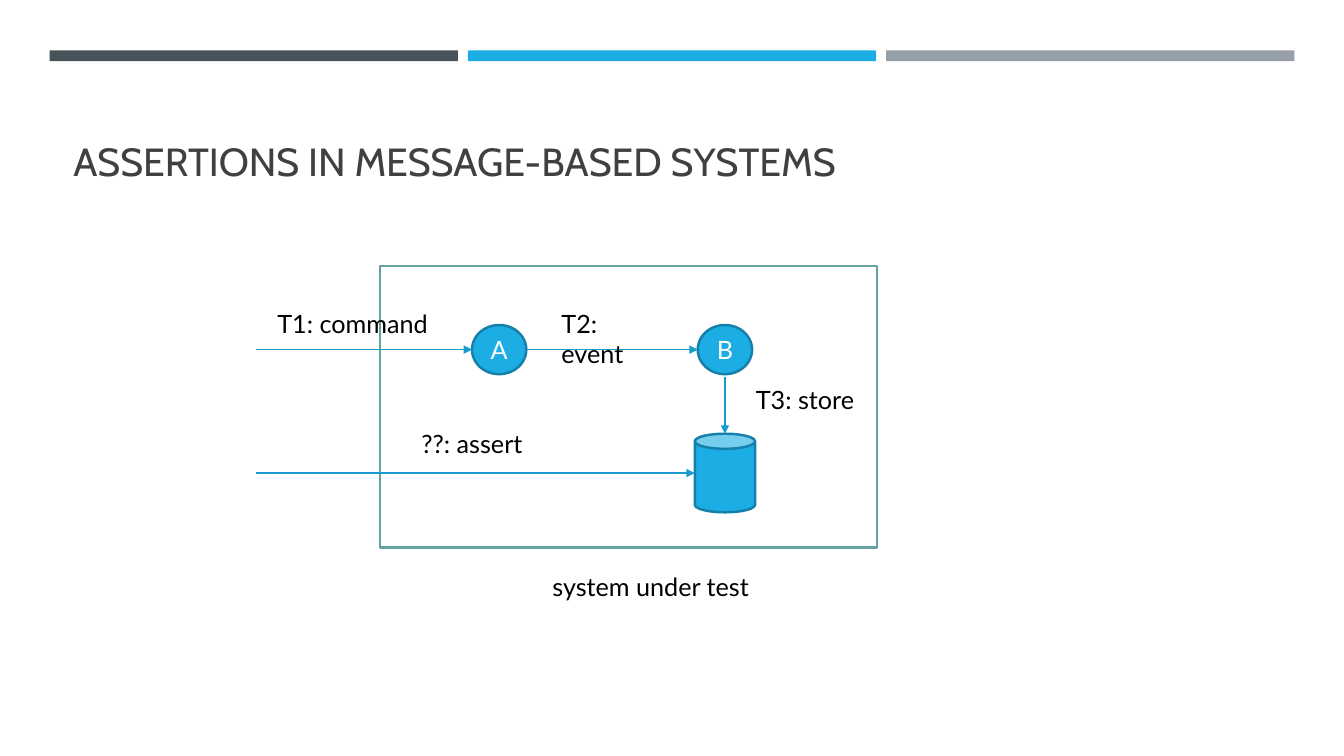
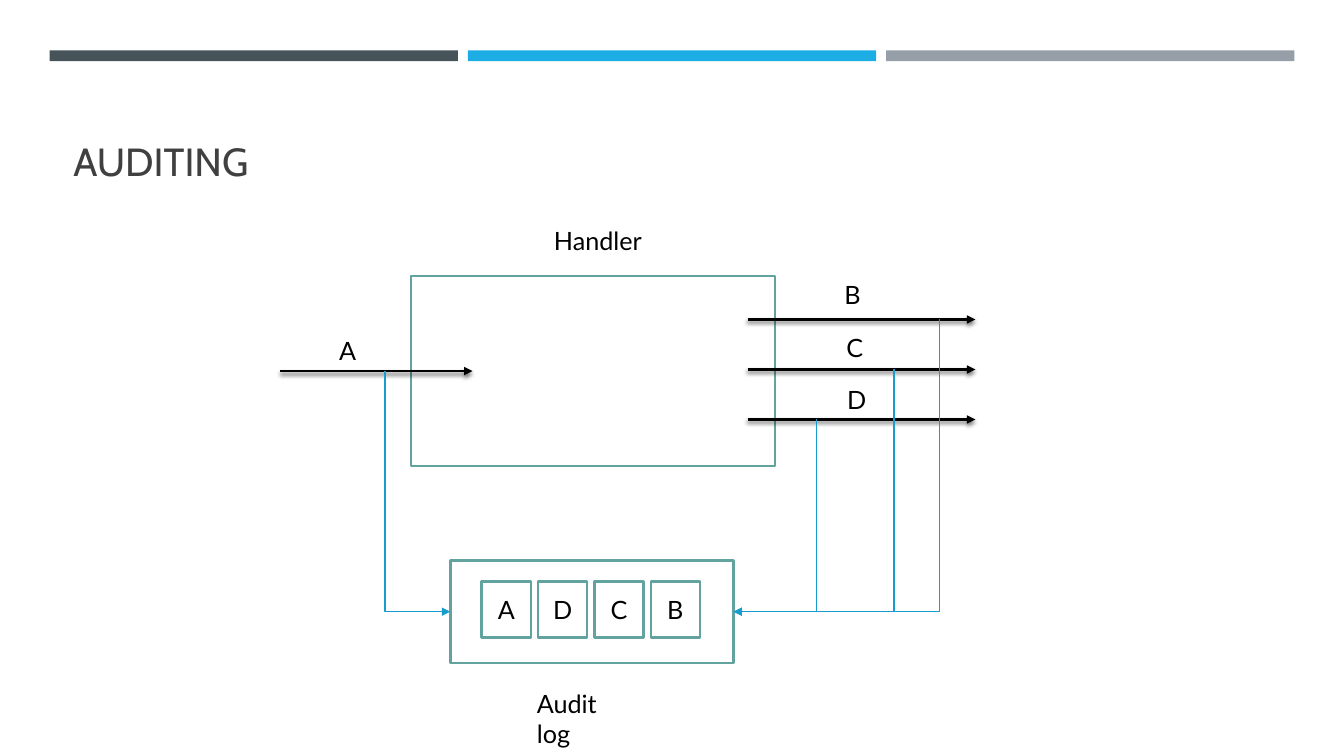
"""Build two slides on testing and auditing message-based systems."""
from dataclasses import dataclass

import lxml.etree
import pptx
import pptx.dml.color
import pptx.enum.shapes
import pptx.enum.text
import pptx.oxml.ns
import pptx.util

Cm = pptx.util.Cm
Pt = pptx.util.Pt
RGBColor = pptx.dml.color.RGBColor
Shape = pptx.enum.shapes.MSO_SHAPE
Anchor = pptx.enum.text.MSO_ANCHOR
qn = pptx.oxml.ns.qn

SLATE = RGBColor(0x46, 0x53, 0x59)
BLUE = RGBColor(0x1C, 0xAD, 0xE4)
GREY = RGBColor(0x96, 0x9F, 0xA7)
DARK_BLUE = RGBColor(0x15, 0x80, 0xA9)
ARROW_BLUE = RGBColor(0x18, 0x9C, 0xCE)
TEAL = RGBColor(0x62, 0xA3, 0x9F)
TITLE_GREY = RGBColor(0x40, 0x40, 0x40)
BLACK = RGBColor(0, 0, 0)
WHITE = RGBColor(0xFF, 0xFF, 0xFF)

TITLE_FONT = "Cabin"
BODY_FONT = "Lato"


@dataclass
class Box:
    """A rectangle in centimetres."""

    left: float
    top: float
    width: float
    height: float

    @property
    def middle(self):
        """Return the vertical centre."""
        return self.top + self.height / 2

    def inner(self, left, top, width, height):
        """Return a box placed relative to this one."""
        return Box(self.left + left, self.top + top, width, height)

    def lengths(self):
        """Return the four lengths for python-pptx."""
        return [Cm(value) for value in (self.left, self.top, self.width, self.height)]


def write(text_frame, text, color=BLACK, size=18, font=BODY_FONT):
    """Write one run into the first paragraph and return the paragraph."""
    paragraph = text_frame.paragraphs[0]
    run = paragraph.add_run()
    run.text = text
    run.font.size = Pt(size)
    run.font.name = font
    run.font.color.rgb = color
    return paragraph


def add_label(slide, box, text, wrap=True):
    """Add a plain text label."""
    text_frame = slide.shapes.add_textbox(*box.lengths()).text_frame
    text_frame.word_wrap = wrap
    write(text_frame, text)


def add_figure(slide, box, kind=Shape.RECTANGLE, fill=WHITE, line=TEAL, text="", color=BLACK):
    """Add a filled shape with an optional outline and centred text."""
    shape = slide.shapes.add_shape(kind, *box.lengths())
    shape.shadow.inherit = False
    shape.fill.solid()
    shape.fill.fore_color.rgb = fill
    if line is None:
        shape.line.fill.background()
    else:
        shape.line.color.rgb = line
        shape.line.width = Pt(1.75)
    if text:
        shape.text_frame.vertical_anchor = Anchor.MIDDLE
        paragraph = write(shape.text_frame, text, color)
        paragraph.alignment = pptx.enum.text.PP_ALIGN.CENTER
    return shape


def add_arrow(slide, start, end, color=ARROW_BLUE, width=1, arrow_end="tailEnd"):
    """Add a straight connector with one arrowhead and no shadow."""
    straight = pptx.enum.shapes.MSO_CONNECTOR.STRAIGHT
    points = [Cm(value) for value in (*start, *end)]
    connector = slide.shapes.add_connector(straight, *points)
    connector.line.color.rgb = color
    connector.line.width = Pt(width)
    properties = connector.element.spPr
    lxml.etree.SubElement(properties.find(qn("a:ln")), qn("a:" + arrow_end), type="triangle")
    lxml.etree.SubElement(properties, qn("a:effectLst"))
    return connector


def add_message_arrow(slide, start, end):
    """Add a thick black arrow with a soft shadow below."""
    connector = add_arrow(slide, start, end, BLACK, 2)
    effects = connector.element.spPr.find(qn("a:effectLst"))
    shadow = lxml.etree.SubElement(
        effects, qn("a:outerShdw"), blurRad=str(Pt(3)), dist=str(Pt(2)),
        dir="5400000", rotWithShape="0")
    color = lxml.etree.SubElement(shadow, qn("a:srgbClr"), val=str(BLACK))
    lxml.etree.SubElement(color, qn("a:alpha"), val="55000")


def add_tap(slide, log_edge, message):
    """Add an elbow from a message to the log, with the arrowhead at the log."""
    connector = add_arrow(slide, log_edge, message, arrow_end="headEnd")
    connector.element.spPr.find(qn("a:prstGeom")).set("prst", "bentConnector2")


def add_titled_slide(presentation, title):
    """Add a blank slide with the three bands and a title."""
    slide = presentation.slides.add_slide(presentation.slide_layouts[6])
    for index, color in enumerate((SLATE, BLUE, GREY)):
        add_figure(slide, Box(1.25 + 10.54 * index, 1.27, 10.29, 0.27), fill=color, line=None)
    text_frame = slide.shapes.add_textbox(*Box(1.6, 2.03, 30.63, 2.74).lengths()).text_frame
    text_frame.word_wrap = True
    text_frame.vertical_anchor = Anchor.BOTTOM
    write(text_frame, title, TITLE_GREY, 28, TITLE_FONT)
    return slide


def draw_system(slide, box):
    """Draw the system under test with its services, store and messages."""
    node_width, node_height = 1.37, 1.24
    a_x, b_x = box.left + 3, box.left + 8.69
    node_y, store_y = box.top + 2.1, box.top + 5.21
    entry_x = box.left - 3.12
    store = Box(b_x - 0.76, store_y - 0.99, 1.52, 1.98)

    add_figure(slide, box)
    for name, x in (("A", a_x), ("B", b_x)):
        node = Box(x - node_width / 2, node_y - node_height / 2, node_width, node_height)
        add_figure(slide, node, Shape.OVAL, BLUE, DARK_BLUE, name, WHITE)
    add_figure(slide, store, Shape.CAN, BLUE, DARK_BLUE)

    for start, end in (
        ((entry_x, node_y), (a_x - node_width / 2, node_y)),
        ((a_x + node_width / 2, node_y), (b_x - node_width / 2, node_y)),
        ((b_x, box.top + 2.79), (b_x, store.top)),
        ((entry_x, store_y), (store.left, store_y)),
    ):
        add_arrow(slide, start, end)

    for text, left, top, width in (
        ("T1: command", -2.84, 0.94, 4.5),
        ("T2: event", 4.32, 0.94, 3.07),
        ("T3: store", 9.22, 2.84, 3.07),
        ("??: assert", 0.79, 3.96, 4.5),
        ("system under test", 4.09, 7.57, 5.54),
    ):
        add_label(slide, box.inner(left, top, width, 1.02), text)


def draw_log(slide, box):
    """Draw the audit log with its entries."""
    add_figure(slide, box)
    for index, name in enumerate("ADCB"):
        add_figure(slide, box.inner(0.79 + 1.42 * index, 0.53, 1.24, 1.42), text=name)
    add_label(slide, box.inner(1.93, 3.1, 2.84, 1.02), "Audit log")


def draw_handler(slide, box, log):
    """Draw the handler, its messages and their taps into the log."""
    add_figure(slide, box)
    add_label(slide, box.inner(3.35, -1.4, 2.84, 1.02), "Handler")
    for name, y, start, end, label_x, label_y, tap_x, log_x in (
        ("A", 2.39, -3.3, 1.55, -2.06, 1.37, -0.66, log.left),
        ("D", 3.61, 8.48, 14.22, 10.74, 2.59, 10.21, log.left + log.width),
        ("C", 2.35, 8.48, 14.22, 10.72, 1.3, 12.17, log.left + log.width),
        ("B", 1.09, 8.48, 14.22, 10.67, -0.05, 13.31, log.left + log.width),
    ):
        message_y = box.top + y
        add_message_arrow(slide, (box.left + start, message_y), (box.left + end, message_y))
        add_label(slide, box.inner(label_x, label_y, 0.89, 1.02), name, wrap=False)
        add_tap(slide, (log_x, log.middle), (box.left + tap_x, message_y))


def main():
    """Build and save the presentation."""
    presentation = pptx.Presentation()
    presentation.slide_width = Cm(33.87)
    presentation.slide_height = Cm(19.05)

    slide = add_titled_slide(presentation, "ASSERTIONS IN MESSAGE-BASED SYSTEMS")
    draw_system(slide, Box(9.58, 6.71, 12.52, 7.09))

    slide = add_titled_slide(presentation, "AUDITING")
    log = Box(11.35, 14.12, 7.14, 2.59)
    draw_log(slide, log)
    draw_handler(slide, Box(10.36, 6.96, 9.17, 4.78), log)

    presentation.save("out.pptx")


if __name__ == "__main__":
    main()
